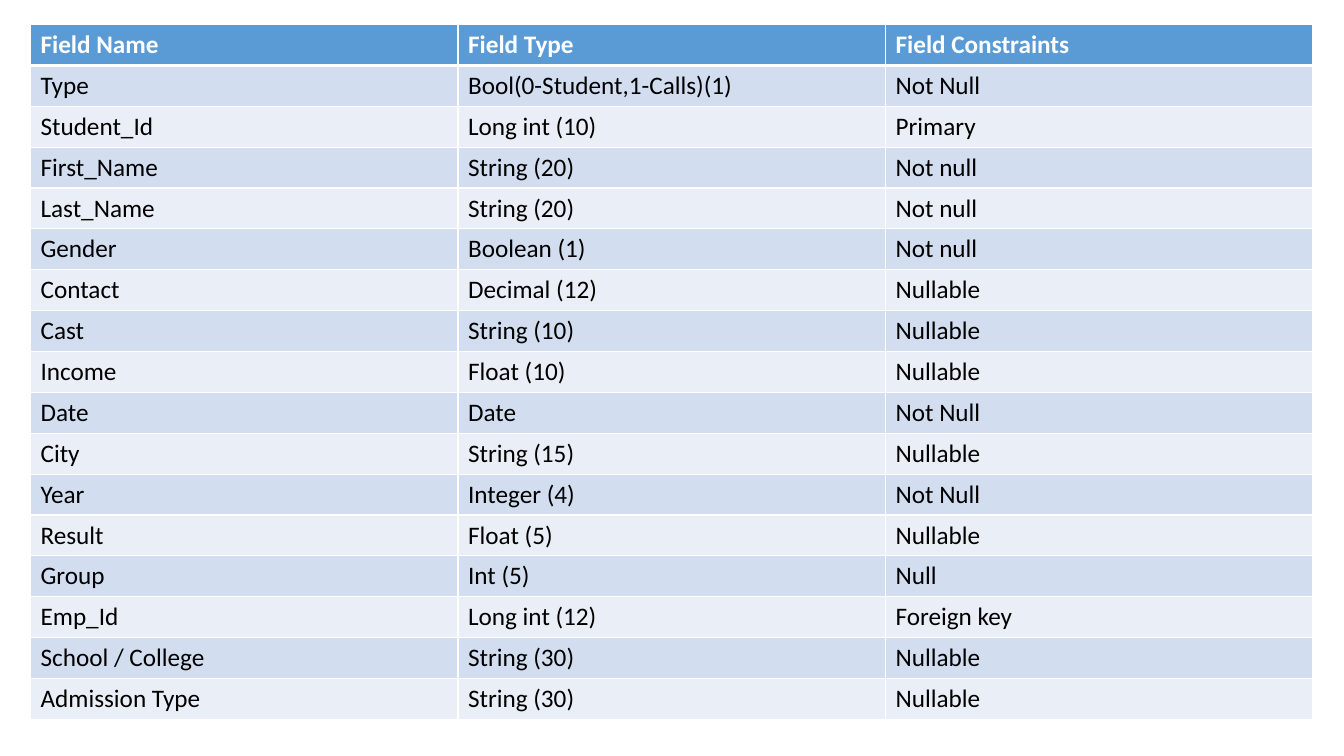
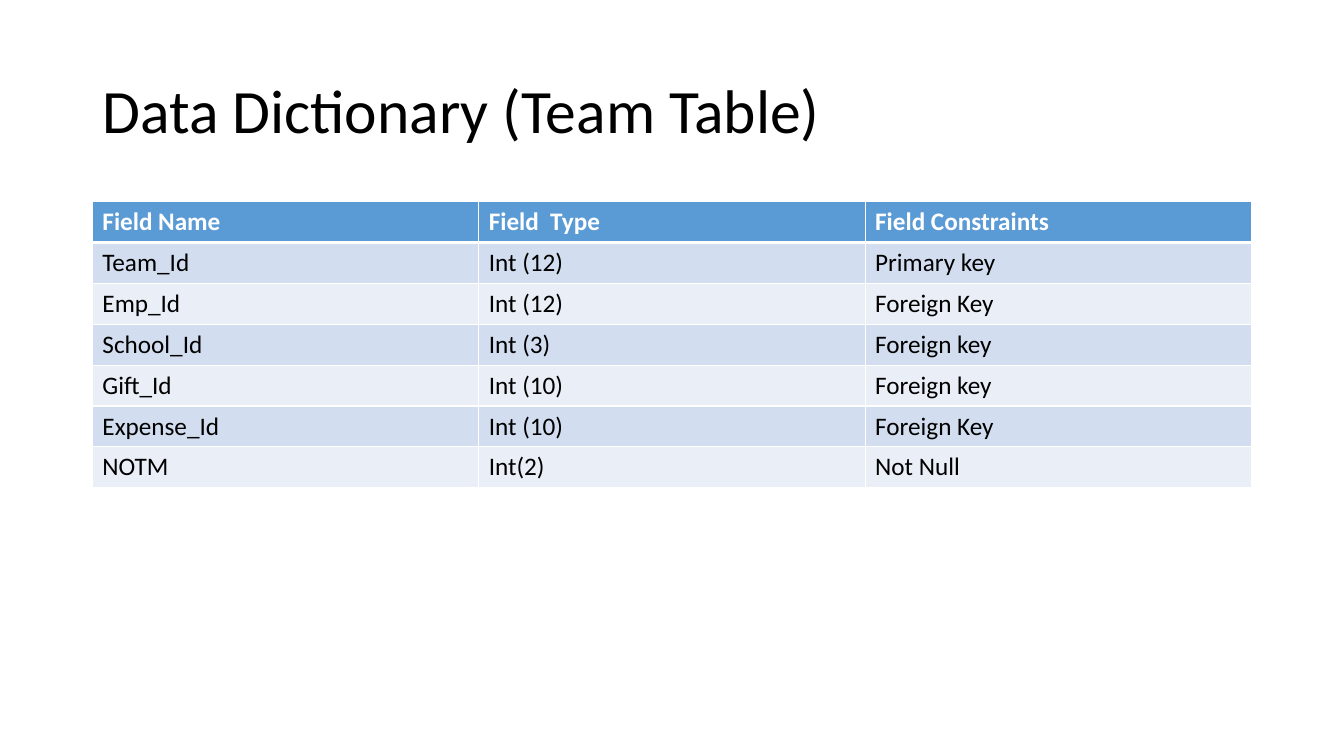
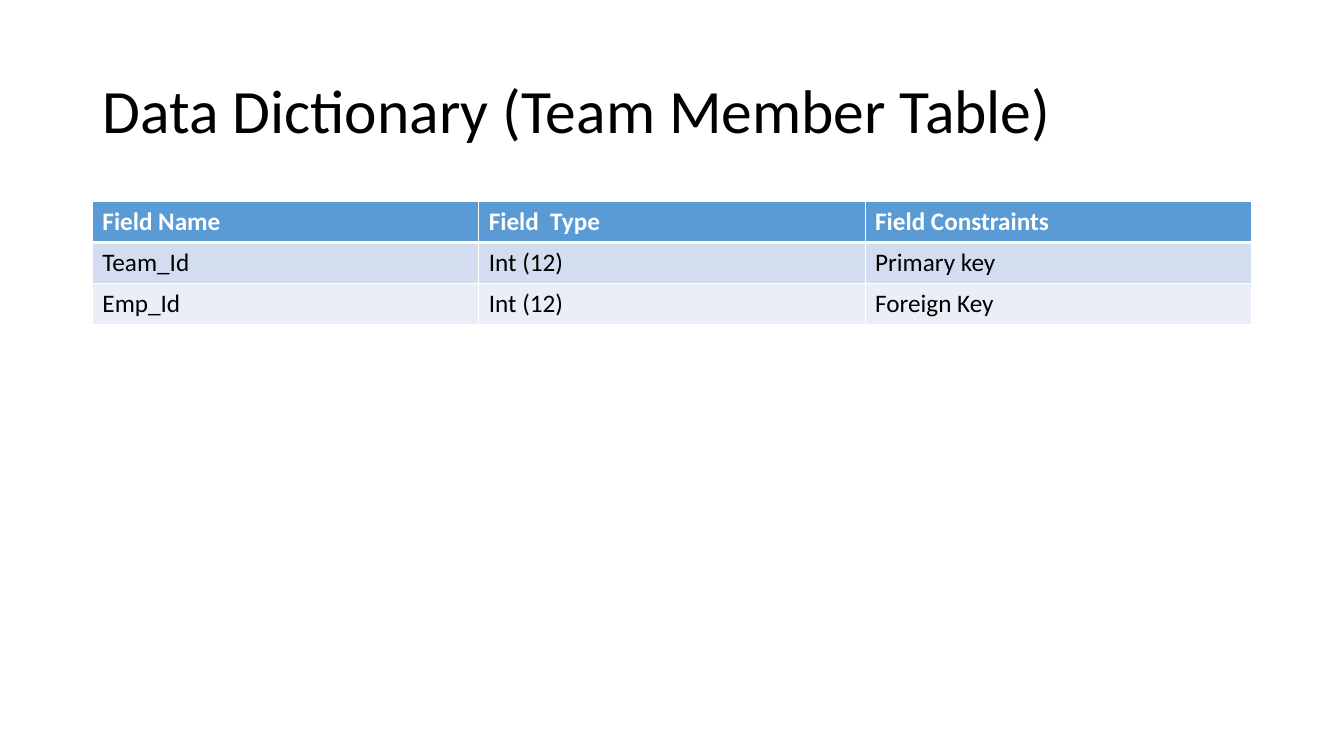
import pptx
import pptx.util
import pptx.dml.color
import pptx.enum.text
import pptx.oxml
import pptx.oxml.ns

Pt = pptx.util.Pt
FONT = "Calibri"
WHITE, BLACK = "FFFFFF", "000000"
HEADER_FILL = "5B9BD5"
BAND_FILLS = ["D2DEEF", "EAEFF7"]
ROW_HEIGHT = 29.2
TITLE_BOX = (66, 28.75, 828, 104.4)
TITLED_TABLE = (66, 144, 828)
FULL_TABLE = (21.8, 17.5, 916.2)


def write(frame, text, size=18, color=BLACK, bold=False, line_spacing=1.0):
    para = frame.paragraphs[0]
    para.alignment = pptx.enum.text.PP_ALIGN.LEFT
    para.line_spacing = line_spacing
    span = para.add_run()
    span.text = text
    span.font.name = FONT
    span.font.size = Pt(size)
    span.font.bold = bold
    span.font.color.rgb = pptx.dml.color.RGBColor.from_string(color)


def add_border(cell, side, width):
    cell._tc.get_or_add_tcPr().append(pptx.oxml.parse_xml(
        f'<a:ln{side} {pptx.oxml.ns.nsdecls("a")} w="{Pt(width)}">'
        f'<a:solidFill><a:srgbClr val="{WHITE}"/></a:solidFill></a:ln{side}>'))


student_rows = [
    ("Field Name", "Field Type", "Field Constraints"),
    ("Type", "Bool(0-Student,1-Calls)(1)", "Not Null"),
    ("Student_Id", "Long int (10)", "Primary"),
    ("First_Name", "String (20)", "Not null"),
    ("Last_Name ", "String (20)", "Not null"),
    ("Gender", "Boolean (1)", "Not null"),
    ("Contact", "Decimal (12)", "Nullable"),
    ("Cast", "String (10)", "Nullable"),
    ("Income", "Float (10)", "Nullable"),
    ("Date", "Date", "Not Null"),
    ("City", "String (15)", "Nullable"),
    ("Year", "Integer (4)", "Not Null"),
    ("Result", "Float (5)", "Nullable"),
    ("Group", "Int (5)", "Null"),
    ("Emp_Id", "Long int (12)", "Foreign key"),
    ("School / College", "String (30)", "Nullable"),
    ("Admission Type", "String (30)", "Nullable"),
]
member_rows = [
    ("Field Name", "Field  Type", "Field Constraints"),
    ("Team_Id", "Int (12)", "Primary key"),
    ("Emp_Id", "Int (12)", "Foreign Key"),
]
team_rows = member_rows + [
    ("School_Id", "Int (3)", "Foreign key"),
    ("Gift_Id", "Int (10)", "Foreign key"),
    ("Expense_Id", "Int (10)", "Foreign Key"),
    ("NOTM", "Int(2)", "Not Null"),
]
dictionaries = [
    (None, FULL_TABLE, student_rows),
    ("Data Dictionary (Team Table)", TITLED_TABLE, team_rows),
    ("Data Dictionary (Team Member Table)", TITLED_TABLE, member_rows),
]

deck = pptx.Presentation()
deck.slide_width, deck.slide_height = Pt(960), Pt(540)
title_only, blank = deck.slide_layouts[5], deck.slide_layouts[6]

for heading, (left, top, width), rows in dictionaries:
    page = deck.slides.add_slide(title_only if heading else blank)
    if heading:
        title = page.shapes.title
        title.left, title.top, title.width, title.height = map(Pt, TITLE_BOX)
        title.text_frame.word_wrap = True
        title.text_frame.auto_size = pptx.enum.text.MSO_AUTO_SIZE.NONE
        title.text_frame.vertical_anchor = pptx.enum.text.MSO_ANCHOR.MIDDLE
        write(title.text_frame, heading, size=44, line_spacing=0.9)

    table = page.shapes.add_table(
        len(rows), len(rows[0]), Pt(left), Pt(top),
        Pt(width), Pt(ROW_HEIGHT * len(rows))).table
    table.horz_banding = False
    for column in table.columns:
        column.width = Pt(width / len(rows[0]))
    for row_index, values in enumerate(rows):
        table.rows[row_index].height = Pt(ROW_HEIGHT)
        is_header = row_index == 0
        fill = HEADER_FILL if is_header else BAND_FILLS[(row_index - 1) % 2]
        borders = {"L": 1, "R": 1, "T": 3 if row_index == 1 else 1, "B": 3 if is_header else 1}
        for column_index, value in enumerate(values):
            cell = table.cell(row_index, column_index)
            for side, thickness in borders.items():
                add_border(cell, side, thickness)
            cell.fill.solid()
            cell.fill.fore_color.rgb = pptx.dml.color.RGBColor.from_string(fill)
            write(cell.text_frame, value, color=WHITE if is_header else BLACK, bold=is_header)

deck.save("out.pptx")
